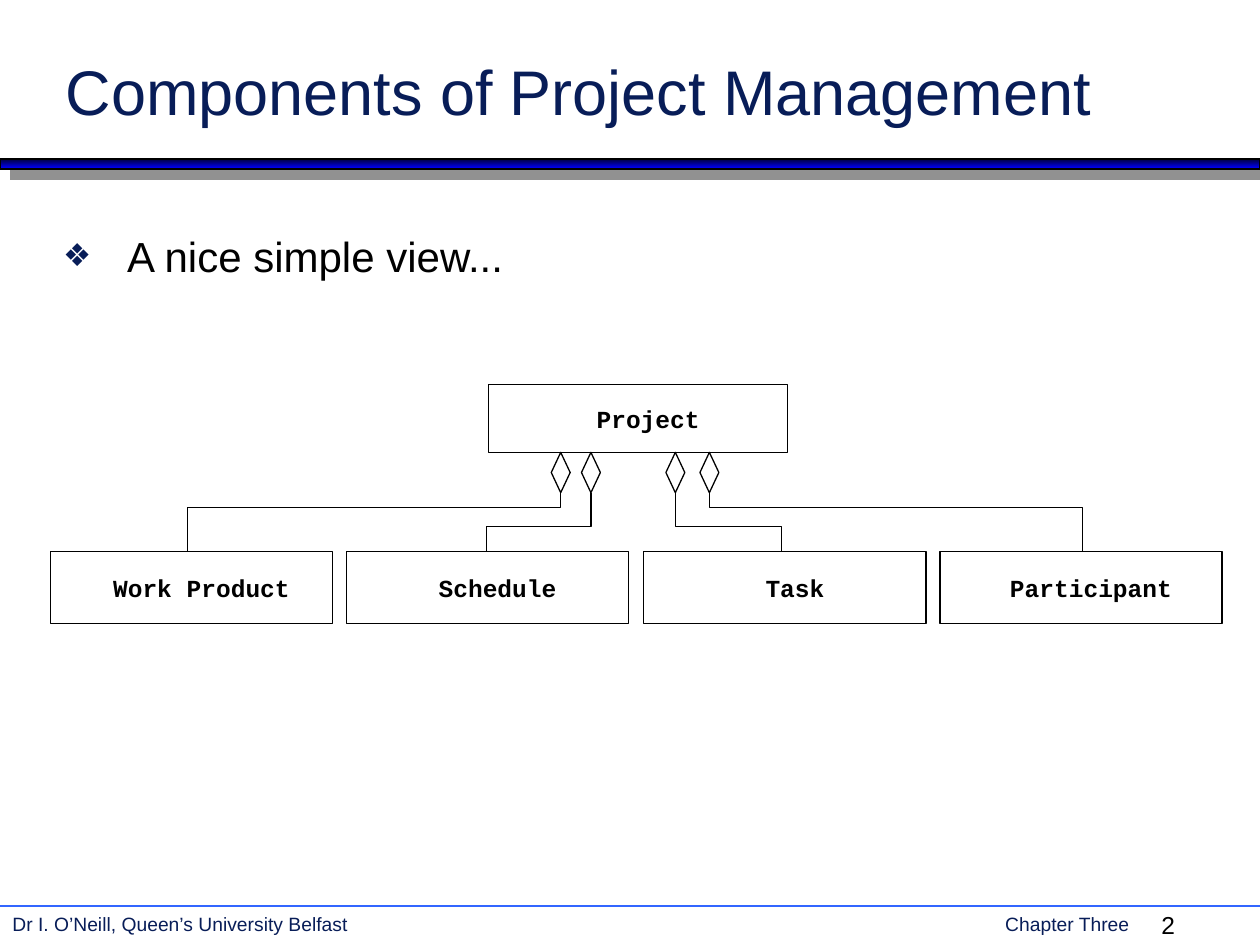
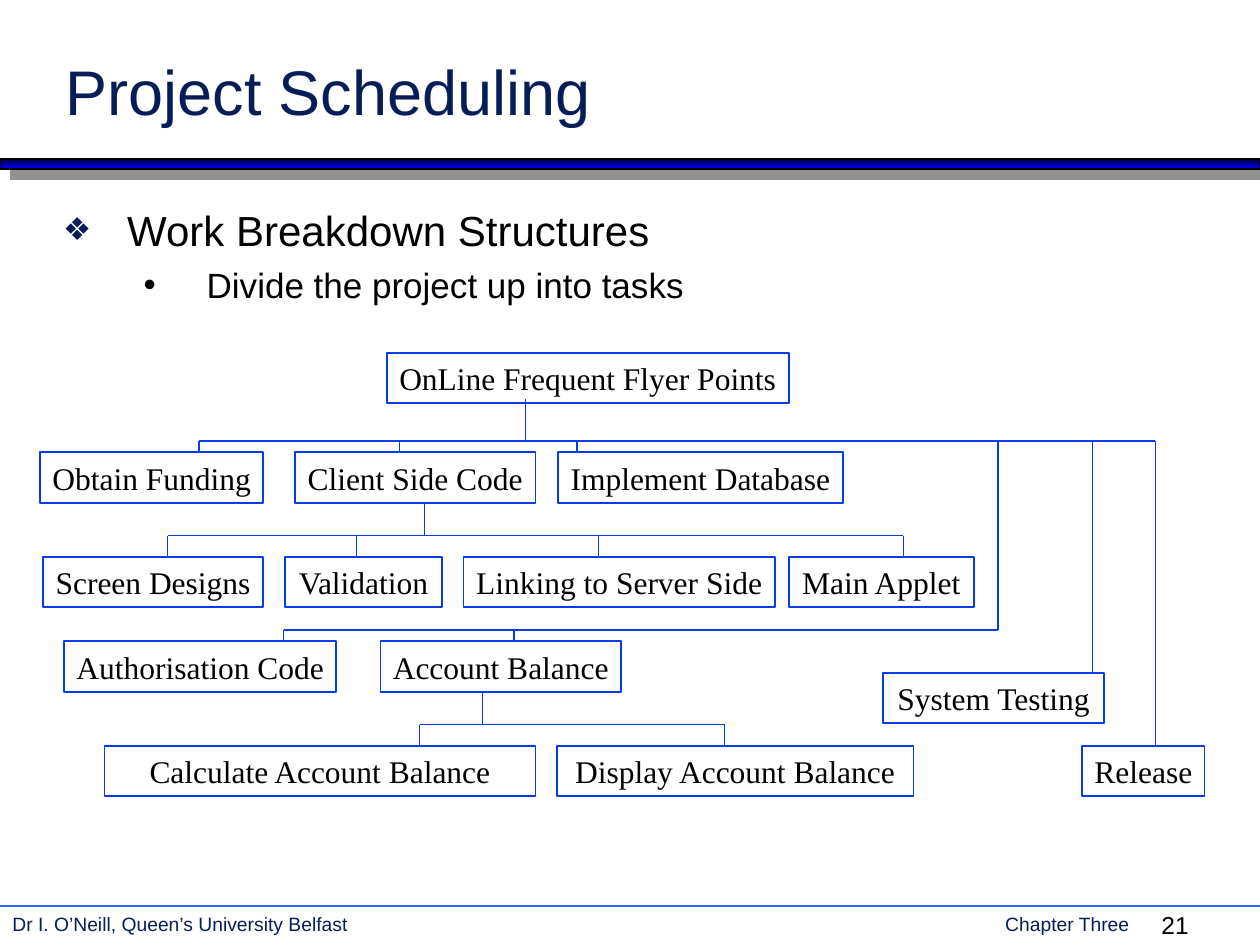
from dataclasses import dataclass
from typing import Optional

from lxml import etree
from pptx import Presentation
from pptx import util as u
from pptx.dml.color import RGBColor
from pptx.enum import shapes, text
from pptx.oxml import ns

PX = 9144  # EMU per px, 100 px to the inch

NAVY = RGBColor(0x08, 0x1D, 0x58)
DARK = RGBColor(0x00, 0x00, 0x36)
BLUE = RGBColor(0x00, 0x00, 0xFF)
SKY = RGBColor(0x33, 0x66, 0xFF)
ROYAL = RGBColor(0x06, 0x3D, 0xE8)
GREY = RGBColor(0x91, 0x91, 0x91)
BLACK = RGBColor(0x00, 0x00, 0x00)
WHITE = RGBColor(0xFF, 0xFF, 0xFF)


@dataclass(frozen=True)
class Font:
    name: str
    size: int
    color: RGBColor
    bold: bool = False


@dataclass(frozen=True)
class Level:
    font: Font
    margin: int
    indent: int
    before: int
    bullet: str
    color: RGBColor
    percent: int


@dataclass(frozen=True)
class Box:
    label: str
    left: int
    top: int
    width: int
    height: int = 40


@dataclass(frozen=True)
class Look:
    font: Font
    line: RGBColor
    weight: int
    inset: int = 0  # left margin, shifts the centred label


@dataclass(frozen=True)
class Link:
    start: int
    bus: int
    end: int


@dataclass(frozen=True)
class Branch:
    stem: int
    top: int
    bus: int
    drops: tuple[tuple[int, int], ...]  # x and lower end


TITLE = Font("Arial", 36, NAVY)
FOOT = Font("Arial", 11, NAVY)
NUMBER = Font("Arial", 14, BLACK)
LEVELS = (
    Level(Font("Arial", 24, BLACK), 51, -51, 6, "❖", NAVY, 75),
    Level(Font("Arial", 20, BLACK), 114, -50, 5, "•", BLACK, 100),
)
CLASS = Look(Font("Courier New", 14, BLACK, True), BLACK, 0, 16)
TASK = Look(Font("Times New Roman", 18, BLACK), ROYAL, 1)

# Class diagram
PARENT = Box("Project", 388, 305, 237, 54)
PARTS = ("Work Product", "Schedule", "Task", "Participant")
LINKS = (Link(445, 403, 149), Link(469, 418, 386),
         Link(536, 418, 620), Link(563, 403, 859))
PART_TOP, PART_STEP = 438, 235.33
GEM_WIDTH, GEM_HEIGHT = 15, 32

# Work breakdown
TASKS = (
    Box("OnLine Frequent Flyer Points", 307, 280, 319),
    Box("Obtain Funding", 32, 359, 177),
    Box("Client Side Code", 234, 359, 191),
    Box("Implement Database", 443, 359, 226),
    Box("Screen Designs", 34, 442, 175),
    Box("Validation", 226, 442, 125),
    Box("Linking to Server Side", 368, 442, 247),
    Box("Main Applet", 626, 442, 147),
    Box("Authorisation Code", 51, 509, 216),
    Box("Account Balance", 302, 509, 191),
    Box("System Testing", 701, 534, 175),
    Box("Calculate Account Balance", 83, 592, 342),
    Box("Display Account Balance", 442, 592, 283),
    Box("Release", 859, 592, 97),
)
BRANCHES = (
    Branch(417, 317, 350, ((158, 358), (317, 358), (458, 358),
                           (867, 533), (917, 592))),
    Branch(337, 400, 425, ((133, 442), (283, 442), (475, 442), (717, 442))),
    Branch(792, 350, 500, ((225, 508), (408, 508))),
    Branch(383, 550, 575, ((333, 592), (575, 592))),
)


def px(*sizes: float) -> list[u.Emu]:
    return [u.Emu(round(size * PX)) for size in sizes]


def style(para, font: Font) -> None:
    for run in para.runs:
        run.font.name = font.name
        run.font.size = u.Pt(font.size)
        run.font.bold = font.bold
        run.font.color.rgb = font.color


def place(shape, *rect: int) -> None:
    shape.left, shape.top, shape.width, shape.height = px(*rect)


def outline(shape, color: RGBColor, weight: int,
            fill: Optional[RGBColor] = None) -> None:
    shape.shadow.inherit = False
    shape.line.color.rgb = color
    shape.line.width = u.Pt(weight)
    if fill is None:
        shape.fill.background()
    else:
        shape.fill.solid()
        shape.fill.fore_color.rgb = fill


def draw_line(slide, color: RGBColor, *ends: int) -> None:
    line = slide.shapes.add_connector(shapes.MSO_CONNECTOR.STRAIGHT, *px(*ends))
    line.line.color.rgb = color
    line.line.width = u.Pt(1)
    etree.SubElement(line._element.spPr, ns.qn("a:effectLst"))


def draw_note(slide, words: str, font: Font, *rect: int) -> None:
    note = slide.shapes.add_textbox(*px(*rect))
    note.text_frame.word_wrap = True
    note.text_frame.text = words
    style(note.text_frame.paragraphs[0], font)


def draw_box(slide, box: Box, look: Look) -> None:
    shape = slide.shapes.add_shape(
        shapes.MSO_SHAPE.RECTANGLE,
        *px(box.left, box.top, box.width, box.height))
    outline(shape, look.line, look.weight)
    frame = shape.text_frame
    frame.word_wrap = False
    frame.vertical_anchor = text.MSO_ANCHOR.MIDDLE
    frame.margin_left, frame.margin_right = px(look.inset, 0)
    frame.text = box.label
    para = frame.paragraphs[0]
    para.alignment = text.PP_ALIGN.CENTER
    style(para, look.font)


def draw_band(slide) -> None:
    band = slide.shapes.add_shape(shapes.MSO_SHAPE.RECTANGLE, *px(0, 126, 1000, 8))
    outline(band, BLACK, 1)
    band.fill.gradient()
    band.fill.gradient_angle = 270
    for stop, color in zip(band.fill.gradient_stops, (DARK, BLUE)):
        stop.color.rgb = color
    # Hard grey shadow, down and to the right
    effects = band._element.spPr.find(ns.qn("a:effectLst"))
    shadow = etree.SubElement(effects, ns.qn("a:outerShdw"), blurRad="0",
                              dist=str(u.Pt(8.5)), dir="2700000",
                              algn="ctr", rotWithShape="0")
    etree.SubElement(shadow, ns.qn("a:srgbClr"), val=str(GREY))


def set_level(para, depth: int) -> None:
    level = LEVELS[depth]
    para.level = depth
    para.space_before = u.Pt(level.before)
    style(para, level.font)
    props = para._p.get_or_add_pPr()
    margin, indent = px(level.margin, level.indent)
    props.set("marL", str(margin))
    props.set("indent", str(indent))
    tint = etree.SubElement(props, ns.qn("a:buClr"))
    etree.SubElement(tint, ns.qn("a:srgbClr"), val=str(level.color))
    etree.SubElement(props, ns.qn("a:buSzPct"), val=str(level.percent * 1000))
    etree.SubElement(props, ns.qn("a:buFont"), typeface="Arial")
    etree.SubElement(props, ns.qn("a:buChar"), char=level.bullet)


def add_slide(deck, title: str, number: int, points: tuple[str, ...],
              top: int, height: int):
    """Add a slide with title, band, footer and one point per level."""
    slide = deck.slides.add_slide(deck.slide_layouts[1])
    draw_band(slide)

    # Footer
    draw_line(slide, SKY, 0, 719, 1000, 719)
    draw_note(slide, "Dr I. O’Neill, Queen’s University Belfast", FOOT,
              0, 719, 400, 28)
    draw_note(slide, "Chapter Three", FOOT, 788, 719, 124, 28)
    draw_note(slide, str(number), NUMBER, 912, 717, 67, 34)

    # Title
    head = slide.shapes.title
    place(head, 42, 29, 854, 78)
    frame = head.text_frame
    frame.text = title
    frame.auto_size = text.MSO_AUTO_SIZE.NONE
    frame.vertical_anchor = text.MSO_ANCHOR.BOTTOM
    frame.paragraphs[0].alignment = text.PP_ALIGN.LEFT
    style(frame.paragraphs[0], TITLE)

    # Body
    body = slide.placeholders[1]
    place(body, 40, top, 922, height)
    frame = body.text_frame
    frame.text = "\n".join(points)
    frame.auto_size = text.MSO_AUTO_SIZE.NONE
    for depth, para in enumerate(frame.paragraphs):
        set_level(para, depth)
    return slide


def draw_model(slide) -> None:
    base = PARENT.top + PARENT.height
    for link in LINKS:
        start = base + GEM_HEIGHT
        path_to = [(link.start, link.bus), (link.end, link.bus),
                   (link.end, PART_TOP)]
        pen = slide.shapes.build_freeform(link.start, start, scale=PX)
        pen.add_line_segments(path_to, close=False)
        outline(pen.convert_to_shape(), BLACK, 0)
        gem = slide.shapes.add_shape(
            shapes.MSO_SHAPE.DIAMOND,
            *px(link.start - GEM_WIDTH / 2, base, GEM_WIDTH, GEM_HEIGHT))
        outline(gem, BLACK, 0, WHITE)
    draw_box(slide, PARENT, CLASS)
    for i, part in enumerate(PARTS):
        left = 40 + round(i * PART_STEP)
        draw_box(slide, Box(part, left, PART_TOP, 224, 57), CLASS)


def draw_tree(slide) -> None:
    for task in TASKS:
        draw_box(slide, task, TASK)
    for branch in BRANCHES:
        stops = [branch.stem] + [x for x, _ in branch.drops]
        draw_line(slide, ROYAL, branch.stem, branch.top, branch.stem, branch.bus)
        draw_line(slide, ROYAL, min(stops), branch.bus, max(stops), branch.bus)
        for x, end in branch.drops:
            draw_line(slide, ROYAL, x, branch.bus, x, end)


def main() -> None:
    deck = Presentation()
    deck.slide_width, deck.slide_height = px(1000, 750)
    draw_model(add_slide(deck, "Components of Project Management", 2,
                         ("A nice simple view...",), 178, 59))
    draw_tree(add_slide(deck, "Project Scheduling", 21,
                        ("Work Breakdown Structures",
                         "Divide the project up into tasks"), 157, 122))
    deck.save("out.pptx")


if __name__ == "__main__":
    main()
